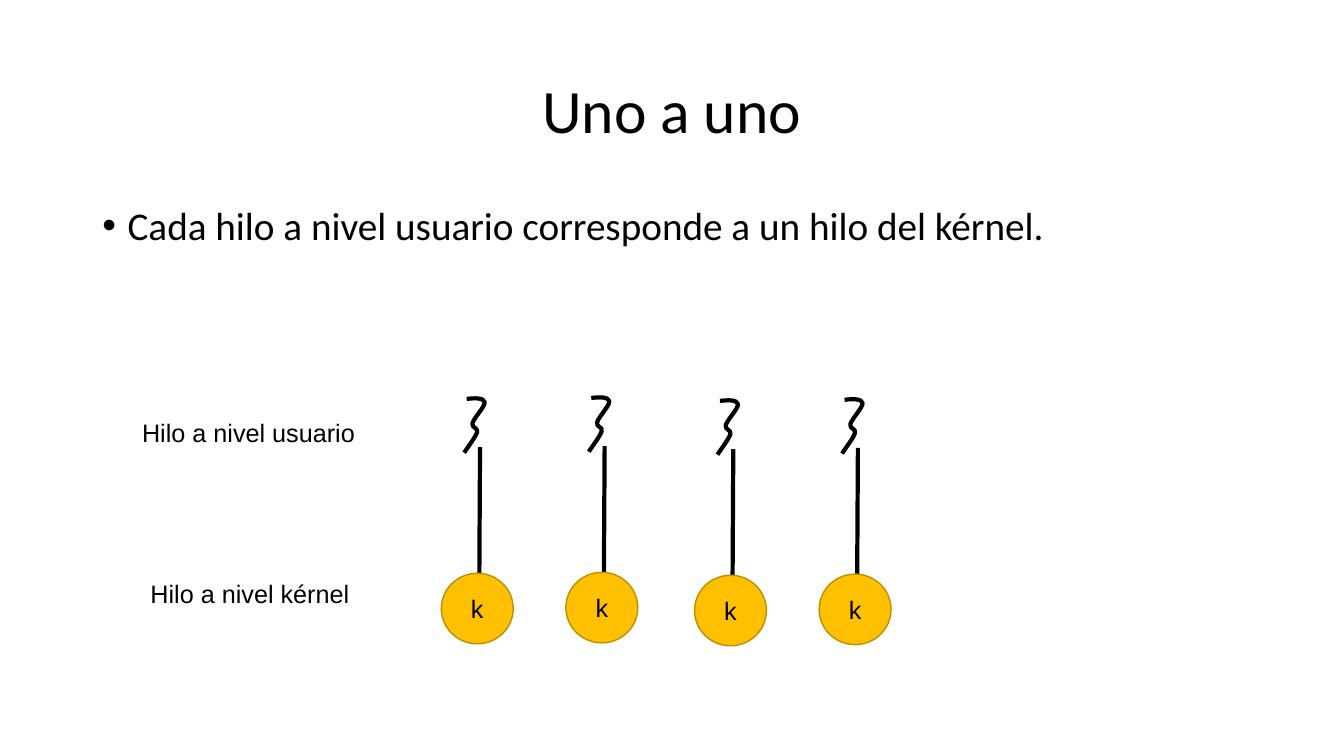
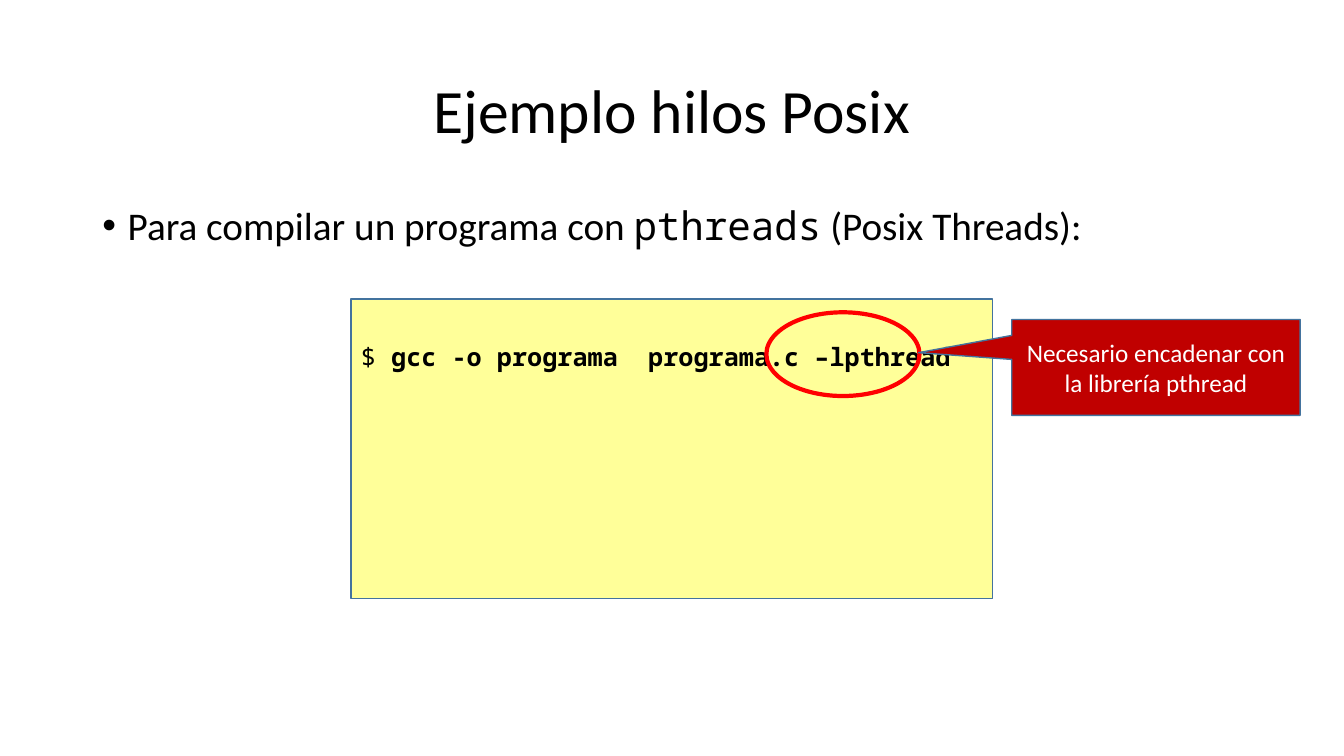
"""Builds two slides about threads: the one-to-one model and compiling with pthreads."""
from lxml import etree
from pptx import Presentation
from pptx.dml.color import RGBColor
from pptx.enum import shapes, text
from pptx.oxml.ns import qn
from pptx.util import Pt

SANS, LABEL, MONO = "Calibri", "Arial", "Noto Sans Mono"
BLACK, WHITE, AMBER, OCHRE = "000000", "FFFFFF", "FFC000", "BD8E00"
YELLOW, BLUE, RED, DARK_RED = "FFFF99", "43739E", "FF0000", "C00000"
LEFT, CENTER = text.PP_ALIGN.LEFT, text.PP_ALIGN.CENTER
TOP, MIDDLE = text.MSO_ANCHOR.TOP, text.MSO_ANCHOR.MIDDLE
SHAPE = shapes.MSO_SHAPE

TITLE_BOX = (66, 28.8, 828, 104.4)
BODY_BOX = (66, 144, 828, 342.7)
SLIDES = [
    ("Uno a uno", [("Cada hilo a nivel usuario corresponde a un hilo del kérnel.", {})]),
    ("Ejemplo hilos Posix", [("Para compilar un programa con ", {}),
                             ("pthreads", {"name": MONO}),
                             (" (Posix Threads):", {})]),
]
LABELS = [("Hilo a nivel usuario", (94.4, 294.5, 167.8, 29.1)),
          ("Hilo a nivel kérnel", (100.4, 409.7, 157.7, 29.1))]
KERNEL_THREADS = [(315.2, 409.5), (404.2, 408.8), (496.1, 410.9), (585.1, 410.1)]
KERNEL_SIZE = (51.4, 50.4)
LINK = (27.7, -90.1, 27.2, 0)
SQUIGGLE_START = (18.2, -124.5)
SQUIGGLE_CURVES = [
    ((24, -125.2), (30.2, -125.4), (31, -122.3)),
    ((31.7, -119.4), (23.2, -110.8), (22.3, -107.1)),
    ((21.6, -103.3), (26.6, -104.3), (25.6, -100.7)),
    ((24.5, -97.1), (17.8, -88.5), (16.4, -86.1)),
]
COMMAND = [("$ ", {}), ("gcc -o programa  programa.c –lpthread", {"bold": True})]
COMMAND_BOX = (250.7, 213.5, 458.1, 214.2)
RING_BOX = (547.4, 223.1, 109.4, 59.8)
NOTE = [("Necesario encadenar con la librería pthread", {})]
NOTE_BOX = (722.7, 228.2, 206, 68.5)
NOTE_TIP = (-0.823, -0.154)


def rgb(value):
    return RGBColor.from_string(value)


def pts(values):
    return [Pt(v) for v in values]


def write(tf, runs, size, font, color=BLACK, align=LEFT, **frame):
    for key, value in frame.items():
        setattr(tf, key, value)
    p = tf.paragraphs[0]
    p.alignment = align
    for content, extra in runs:
        r = p.add_run()
        r.text = content
        for key, value in {"size": Pt(size), "name": font, **extra}.items():
            setattr(r.font, key, value)
        r.font.color.rgb = rgb(color)
    return p


def style(sp, fill, line, width):
    sp.shadow.inherit = False
    if fill:
        sp.fill.solid()
        sp.fill.fore_color.rgb = rgb(fill)
    else:
        sp.fill.background()
    sp.line.color.rgb = rgb(line)
    sp.line.width = Pt(width)


def add_box(s, kind, box, fill, line, width=1):
    sp = s.shapes.add_shape(kind, *pts(box))
    style(sp, fill, line, width)
    return sp


def add_slide(prs, title, runs):
    s = prs.slides.add_slide(prs.slide_layouts[1])
    head, body = s.placeholders
    for sp, box in ((head, TITLE_BOX), (body, BODY_BOX)):
        sp.left, sp.top, sp.width, sp.height = pts(box)
    common = {"word_wrap": True, "auto_size": text.MSO_AUTO_SIZE.NONE}
    p = write(head.text_frame, [(title, {})], 44, SANS, align=CENTER,
              vertical_anchor=MIDDLE, **common)
    p.line_spacing = 0.9
    p = write(body.text_frame, runs, 28, SANS, vertical_anchor=TOP, **common)
    pPr = p._p.get_or_add_pPr()
    pPr.set("marL", str(Pt(18)))
    pPr.set("indent", str(Pt(-18)))
    etree.SubElement(pPr, qn("a:buFont")).set("typeface", LABEL)
    etree.SubElement(pPr, qn("a:buChar")).set("char", "•")
    p.line_spacing, p.space_before = 0.9, Pt(0)
    return s


def add_curve(s, start, curves):
    builder = s.shapes.build_freeform(*start)
    builder.add_line_segments([point for curve in curves for point in curve], close=False)
    sp = builder.convert_to_shape()
    outline = next(sp._element.iter(qn("a:path")))
    segments = outline.findall(qn("a:lnTo"))
    for i in range(0, len(segments), 3):
        bezier = etree.SubElement(outline, qn("a:cubicBezTo"))
        for segment in segments[i:i + 3]:
            bezier.append(segment[0])
            outline.remove(segment)
    style(sp, None, BLACK, 3)


def add_thread(s, x, y):
    def place(point):
        return Pt(x + point[0]), Pt(y + point[1])

    add_curve(s, place(SQUIGGLE_START),
              [[place(point) for point in curve] for curve in SQUIGGLE_CURVES])
    link = s.shapes.add_connector(shapes.MSO_CONNECTOR.STRAIGHT,
                                  *place(LINK[:2]), *place(LINK[2:]))
    link.line.color.rgb = rgb(BLACK)
    link.line.width = Pt(3)
    etree.SubElement(link._element.spPr, qn("a:effectLst"))
    kernel = add_box(s, SHAPE.OVAL, (x, y, *KERNEL_SIZE), AMBER, OCHRE)
    write(kernel.text_frame, [("k", {})], 18, LABEL, align=CENTER,
          word_wrap=False, vertical_anchor=MIDDLE)


def add_model(s):
    for x, y in KERNEL_THREADS:
        add_thread(s, x, y)
    for label, box in LABELS:
        tf = s.shapes.add_textbox(*pts(box)).text_frame
        write(tf, [(label, {})], 18, LABEL, word_wrap=False,
              auto_size=text.MSO_AUTO_SIZE.SHAPE_TO_FIT_TEXT)


def add_command(s):
    code = add_box(s, SHAPE.RECTANGLE, COMMAND_BOX, YELLOW, BLUE)
    write(code.text_frame, COMMAND, 18, MONO, word_wrap=True,
          vertical_anchor=TOP, margin_top=Pt(30.6))
    add_box(s, SHAPE.OVAL, RING_BOX, None, RED, 3)
    note = add_box(s, SHAPE.RECTANGULAR_CALLOUT, NOTE_BOX, DARK_RED, BLUE)
    for i, value in enumerate(NOTE_TIP):
        note.adjustments[i] = value
    write(note.text_frame, NOTE, 18, SANS, WHITE, CENTER,
          word_wrap=True, vertical_anchor=MIDDLE)


def main():
    prs = Presentation()
    prs.slide_width, prs.slide_height = Pt(960), Pt(540)
    for (title, runs), draw in zip(SLIDES, (add_model, add_command)):
        draw(add_slide(prs, title, runs))
    prs.save("out.pptx")


if __name__ == "__main__":
    main()
